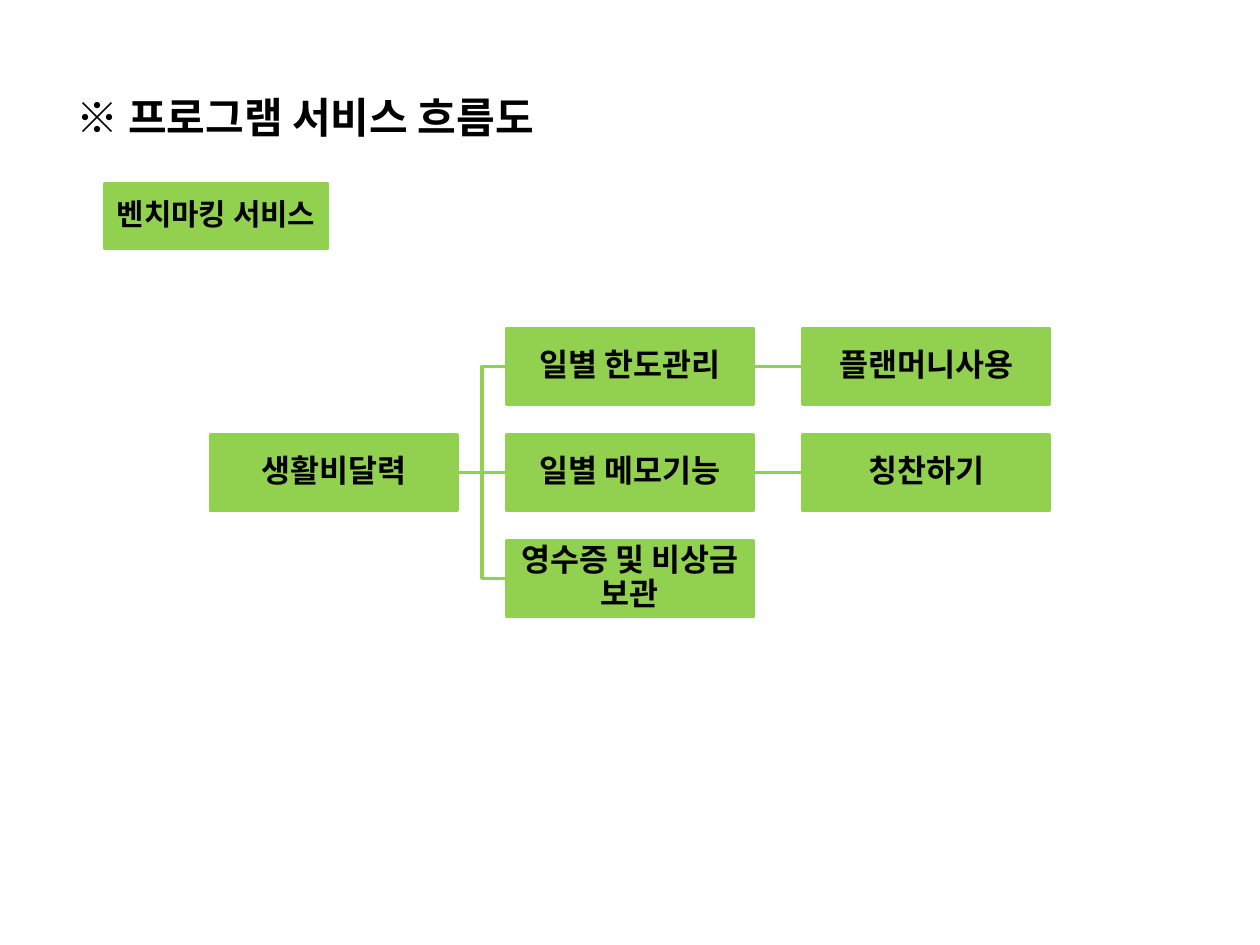
from lxml import etree
from pptx import Presentation
from pptx.dml.color import RGBColor
from pptx.enum.shapes import MSO_CONNECTOR, MSO_SHAPE
from pptx.enum.text import MSO_ANCHOR, MSO_AUTO_SIZE, PP_ALIGN
from pptx.oxml.ns import qn
from pptx.util import Inches, Pt

RECTANGLE = MSO_SHAPE.RECTANGLE
STRAIGHT, ELBOW = MSO_CONNECTOR.STRAIGHT, MSO_CONNECTOR.ELBOW
MIDDLE, CENTER = MSO_ANCHOR.MIDDLE, PP_ALIGN.CENTER
NO_AUTOFIT = MSO_AUTO_SIZE.NONE
FONT = "Noto Sans CJK KR"
GREEN, BLACK = "92D050", "000000"
LEFT_SITE, RIGHT_SITE = 1, 3


def paint(color_format, color):
    color_format.rgb = RGBColor.from_string(color)


def write(frame, text, size):
    frame.text = text
    run = frame.paragraphs[0].runs[0]
    run.font.name = FONT
    run.font.size = Pt(size)
    run.font.bold = True
    paint(run.font.color, BLACK)
    etree.SubElement(run._r.get_or_add_rPr(), qn("a:ea"), typeface=FONT)


prs = Presentation()
prs.slide_width, prs.slide_height = Inches(10), Inches(7.5)
slide = prs.slides.add_slide(prs.slide_layouts[6])

column_left, column_step = 1.67, 2.35
row_top, row_step = 2.61, 0.84
node_width, node_height = 1.96, 0.6

flow = [
    ("생활비달력", 0, 1),
    ("일별 한도관리", 1, 0),
    ("플랜머니사용", 2, 0),
    ("일별 메모기능", 1, 1),
    ("칭찬하기", 2, 1),
    ("영수증 및 비상금 보관", 1, 2),
]
boxes = [
    (text, column_left + column * column_step, row_top + row * row_step, node_width, node_height, 18)
    for text, column, row in flow
]
boxes.append(("벤치마킹 서비스", 0.83, 1.46, 1.77, 0.51, 17))

nodes = {}
for text, left, top, width, height, size in boxes:
    node = slide.shapes.add_shape(RECTANGLE, Inches(left), Inches(top), Inches(width), Inches(height))
    node.shadow.inherit = False
    node.fill.solid()
    paint(node.fill.fore_color, GREEN)
    paint(node.line.color, GREEN)
    node.line.width = Pt(2)
    frame = node.text_frame
    frame.word_wrap = True
    frame.vertical_anchor = MIDDLE
    frame.margin_left = frame.margin_right = frame.margin_top = frame.margin_bottom = Inches(0.01)
    write(frame, text, size)
    frame.paragraphs[0].alignment = CENTER
    frame.paragraphs[0].line_spacing = 0.9
    nodes[text] = node

links = [
    ("생활비달력", "일별 한도관리"),
    ("생활비달력", "일별 메모기능"),
    ("생활비달력", "영수증 및 비상금 보관"),
    ("일별 한도관리", "플랜머니사용"),
    ("일별 메모기능", "칭찬하기"),
]
for source, target in links:
    start, end = nodes[source], nodes[target]
    route = STRAIGHT if start.top == end.top else ELBOW
    link = slide.shapes.add_connector(
        route,
        start.left + start.width,
        start.top + start.height // 2,
        end.left,
        end.top + end.height // 2,
    )
    link.begin_connect(start, RIGHT_SITE)
    link.end_connect(end, LEFT_SITE)
    paint(link.line.color, GREEN)
    link.line.width = Pt(2)
    etree.SubElement(link._element.spPr, qn("a:effectLst"))

title = slide.shapes.add_textbox(Inches(0.51), Inches(0.68), Inches(4.25), Inches(0.5))
title.text_frame.word_wrap = False
title.text_frame.auto_size = NO_AUTOFIT
write(title.text_frame, "※ 프로그램 서비스 흐름도", 24)

prs.save("out.pptx")
